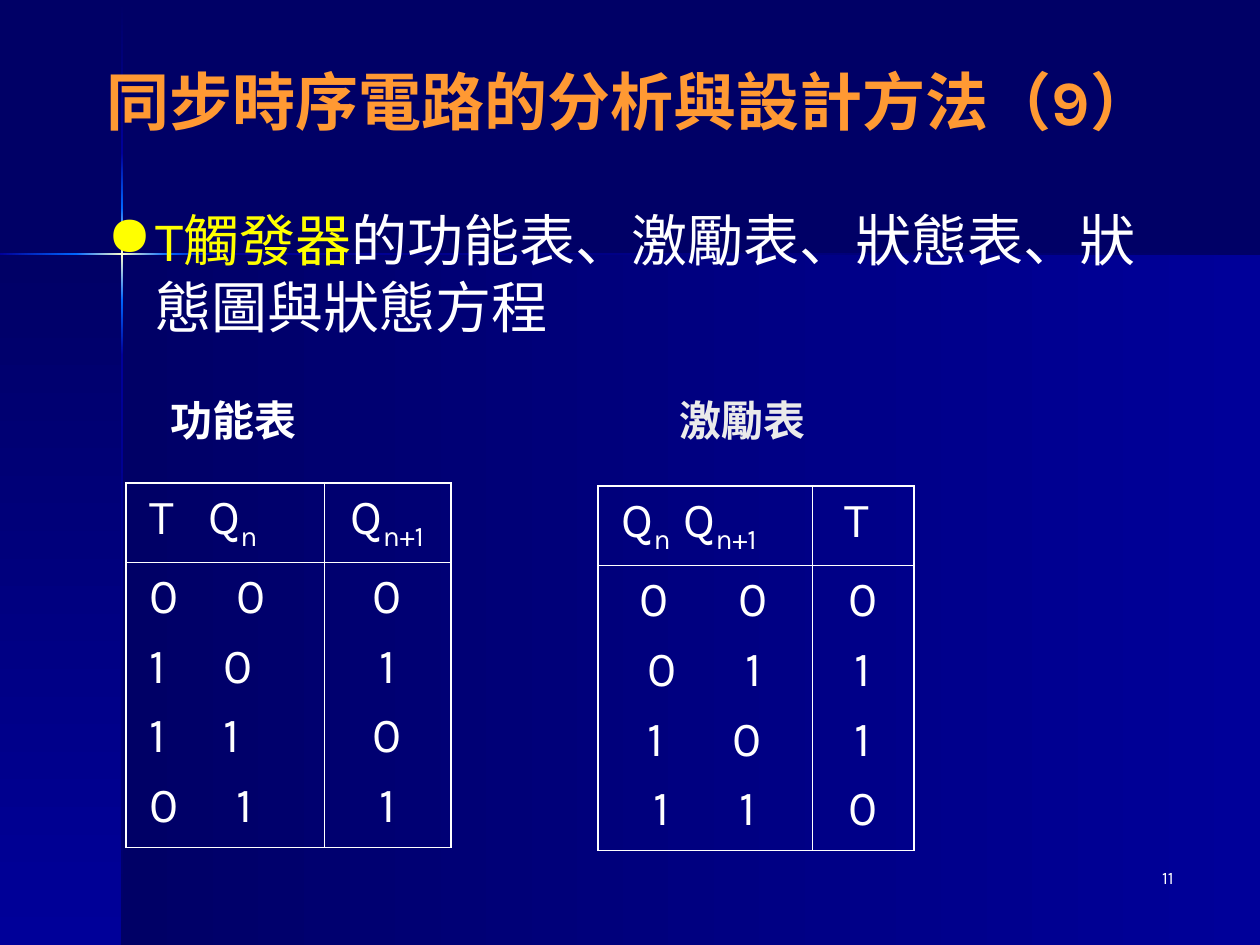
from copy import deepcopy

from lxml.etree import SubElement
from pptx import Presentation
from pptx.dml.color import RGBColor
from pptx.enum.shapes import MSO_SHAPE as Shape
from pptx.enum.text import MSO_ANCHOR as Anchor, PP_ALIGN as Align
from pptx.oxml.ns import qn
from pptx.util import Pt

PX = 914400 // 126
WIDTH, HEIGHT = 1260, 945
SANS, SERIF = "Karla", "TeX Gyre Schola"
WHITE, YELLOW, ORANGE, PALE = "FFFFFF", "FFFF00", "FF9933", "EAEAEA"
NIGHT, NAVY, BLUE, CREAM = "000066", "000099", "0066FF", "FFFFCC"
OUTER, INNER = 13716, 5715  # border widths in EMU

TITLE = "同步時序電路的分析與設計方法（9）"
TOPIC = [("T觸發器", YELLOW), ("的功能表、激勵表、狀態表、狀態圖與狀態方程", WHITE)]
PAGE = "11"

# Panels and light beams: box, colours from start to end, runs downwards
BACKDROP = [
    ((122, 255, 1138, 690), (NIGHT, NAVY), False),
    ((0, 255, 122, 690), (NIGHT, NAVY), True),
    ((121, 1, 2, 152), (NIGHT, NAVY), True),
    ((121, 355, 2, 590), (NAVY, NIGHT), True),
    ((223, 253, 1037, 2), (NAVY, NIGHT), False),
    ((121, 300, 2, 55), (BLUE, NAVY), True),
    ((121, 153, 2, 55), (NAVY, BLUE), True),
    ((121, 208, 2, 92), (BLUE, CREAM, BLUE), True),
    ((0, 253, 76, 2), (NAVY, BLUE), False),
    ((168, 253, 55, 2), (BLUE, NAVY), False),
    ((76, 253, 92, 2), (BLUE, CREAM, BLUE), False),
]

# Text between bars is subscript; pairs are set at two tab stops
TRUTH_TABLES = [
    dict(caption="功能表", caption_box=(158, 388, 168, 63), colour=WHITE,
         at=(126, 483), columns=(198, 127), heads=("\tT\tQ|n|", "Q|n+1|"),
         head_stops=(11, 70),
         rows=[("0", "0", "0", (11, 98)), ("1", "0", "1", (11, 85)),
               ("1", "1", "0", (11, 85)), ("0", "1", "1", (11, 98))]),
    dict(caption="激勵表", caption_box=(667, 388, 163, 63), colour=PALE,
         at=(598, 486), columns=(214, 102), heads=("\tQ|n|\tQ|n+1|", "T "),
         head_stops=(11, 73),
         rows=[("0", "0", "0", (29, 128)), ("0", "1", "1", (37, 135)),
               ("1", "0", "1", (37, 122)), ("1", "1", "0", (43, 129))]),
]
ROW_HEIGHTS = (79, 285)


def rgb(colour):
    return RGBColor.from_string(colour)


def emu(lengths):
    return [length * PX for length in lengths]


def style(paragraph, size, colour=None, font=SANS, bold=False, align=Align.LEFT):
    paragraph.alignment = align
    paragraph.font.size = Pt(size)
    paragraph.font.name = font
    paragraph.font.bold = bold
    if colour:
        paragraph.font.color.rgb = rgb(colour)


def text_box(slide, box, anchor=Anchor.TOP):
    frame = slide.shapes.add_textbox(*emu(box)).text_frame
    frame.word_wrap = True
    frame.vertical_anchor = anchor
    return frame.paragraphs[0]


def label(slide, text, box, *font, anchor=Anchor.TOP, **options):
    paragraph = text_box(slide, box, anchor)
    paragraph.text = text
    style(paragraph, *font, **options)


def add_beam(slide, box, colours, downwards):
    beam = slide.shapes.add_shape(Shape.RECTANGLE, *emu(box))
    beam.shadow.inherit = False
    beam.line.fill.background()
    beam.fill.gradient()
    beam.fill.gradient_angle = 270 if downwards else 0
    stops = beam.fill.gradient_stops
    if len(colours) == 3:
        stop_list = next(beam.element.iter(qn("a:gsLst")))
        stop_list.insert(1, deepcopy(stop_list[0]))
        stops = beam.fill.gradient_stops
    for i, (stop, colour) in enumerate(zip(stops, colours)):
        stop.color.rgb = rgb(colour)
        stop.position = i / (len(colours) - 1)


def add_topic(slide):
    paragraph = text_box(slide, (95, 199, 1092, 640))
    properties = paragraph._p.get_or_add_pPr()
    properties.set("marL", str(48 * PX))
    properties.set("indent", str(-48 * PX))
    bullet_colour = SubElement(properties, qn("a:buClr"))
    SubElement(bullet_colour, qn("a:srgbClr"), val=YELLOW)
    SubElement(properties, qn("a:buChar"), char="●")
    style(paragraph, 32)
    for text, colour in TOPIC:
        run = paragraph.add_run()
        run.text = text
        run.font.color.rgb = rgb(colour)


def write_line(paragraph, text, stops):
    if stops:
        tabs = SubElement(paragraph._p.get_or_add_pPr(), qn("a:tabLst"))
        for stop in stops:
            SubElement(tabs, qn("a:tab"), pos=str(stop * PX), algn="l")
    style(paragraph, 28, WHITE, align=Align.LEFT if stops else Align.CENTER)
    for i, part in enumerate(text.split("|")):
        if part:
            run = paragraph.add_run()
            run.text = part
            if i % 2:
                run.font._element.set("baseline", "-25000")


def add_borders(cell, row, column):
    widths = {"L": (OUTER, INNER)[column], "R": (INNER, OUTER)[column],
              "T": (OUTER, INNER)[row], "B": (INNER, OUTER)[row]}
    properties = cell._tc.get_or_add_tcPr()
    for side, width in widths.items():
        line = SubElement(properties, qn("a:ln" + side), w=str(width))
        SubElement(SubElement(line, qn("a:solidFill")), qn("a:srgbClr"), val=WHITE)
    cell.fill.background()


def add_truth_table(slide, content):
    columns = content["columns"]
    box = (*content["at"], sum(columns), sum(ROW_HEIGHTS))
    table = slide.shapes.add_table(2, 2, *emu(box)).table
    table.first_row = table.horz_banding = False
    for i in range(2):
        table.columns[i].width = columns[i] * PX
        table.rows[i].height = ROW_HEIGHTS[i] * PX

    pair_head, result_head = content["heads"]
    rows = content["rows"]
    lines = {
        (0, 0): [(pair_head, content["head_stops"])],
        (0, 1): [(result_head, None)],
        (1, 0): [(f"\t{first}\t{second}", stops) for first, second, _, stops in rows],
        (1, 1): [(result, None) for _, _, result, _ in rows],
    }
    for (row, column), cell_lines in lines.items():
        cell = table.cell(row, column)
        add_borders(cell, row, column)
        for i, (text, stops) in enumerate(cell_lines):
            frame = cell.text_frame
            paragraph = frame.add_paragraph() if i else frame.paragraphs[0]
            write_line(paragraph, text, stops)
            if i:
                paragraph.space_before = Pt(7)


def main():
    deck = Presentation()
    deck.slide_width, deck.slide_height = emu((WIDTH, HEIGHT))
    slide = deck.slides.add_slide(deck.slide_layouts[6])
    slide.background.fill.solid()
    slide.background.fill.fore_color.rgb = rgb(NIGHT)

    for beam in BACKDROP:
        add_beam(slide, *beam)

    # Page number, title and topic
    label(slide, PAGE, (924, 861, 262, 63), 10, WHITE, align=Align.RIGHT)
    label(slide, TITLE, (42, 55, 1176, 90), 36, ORANGE, bold=True,
          align=Align.CENTER, anchor=Anchor.MIDDLE)
    add_topic(slide)

    # Captioned truth tables
    for content in TRUTH_TABLES:
        label(slide, content["caption"], content["caption_box"], 24,
              content["colour"], SERIF, bold=True)
        add_truth_table(slide, content)

    deck.save("out.pptx")


if __name__ == "__main__":
    main()
